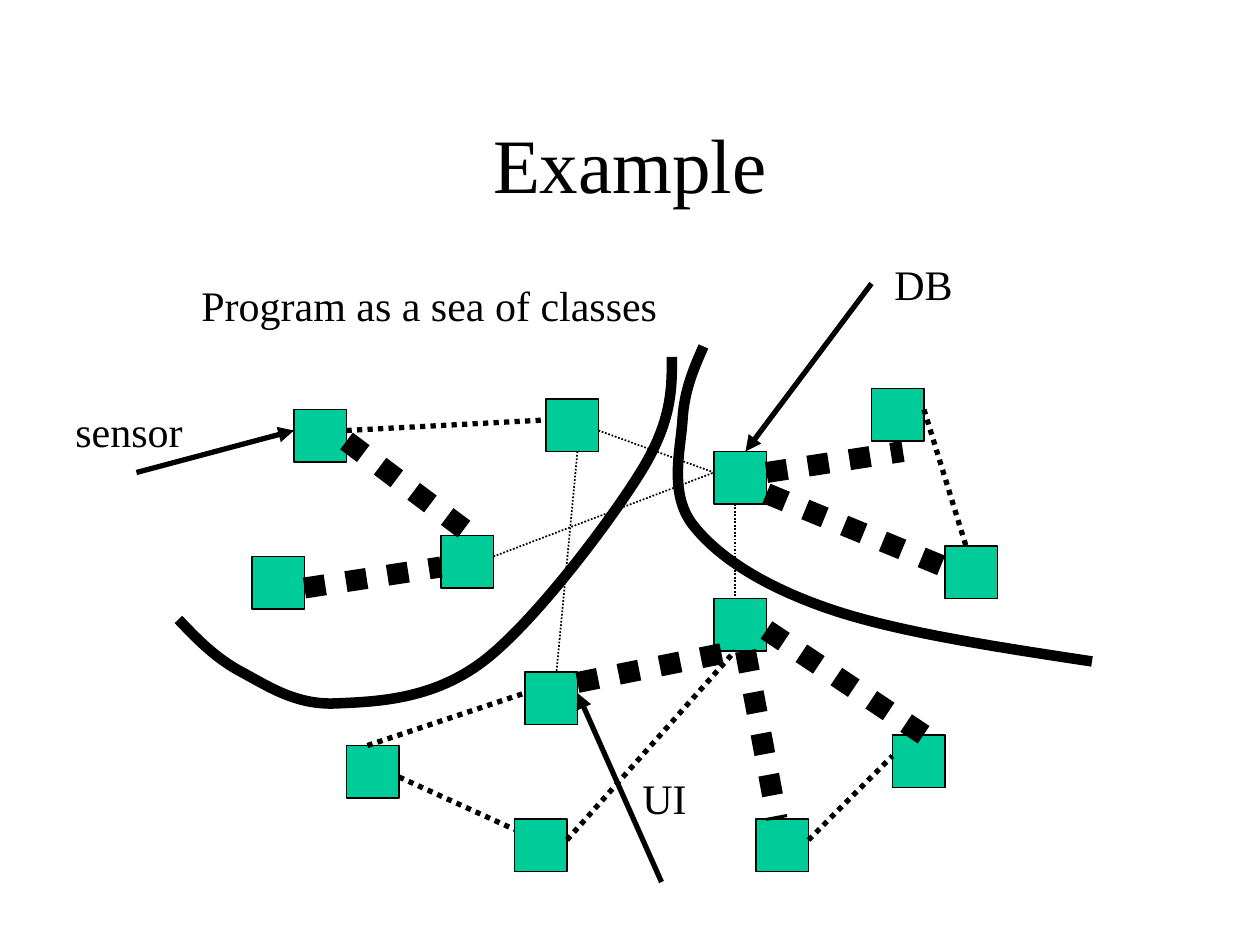
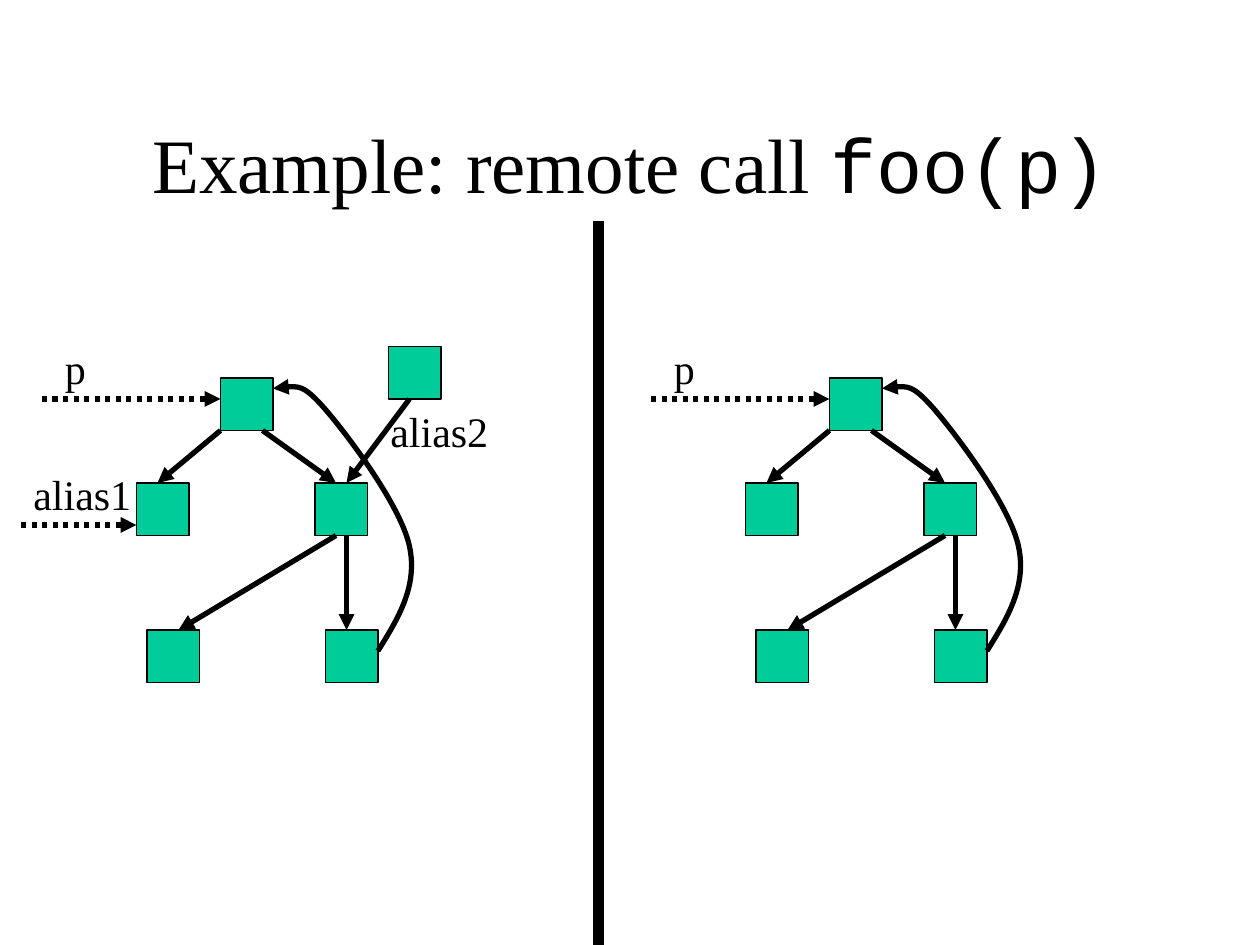
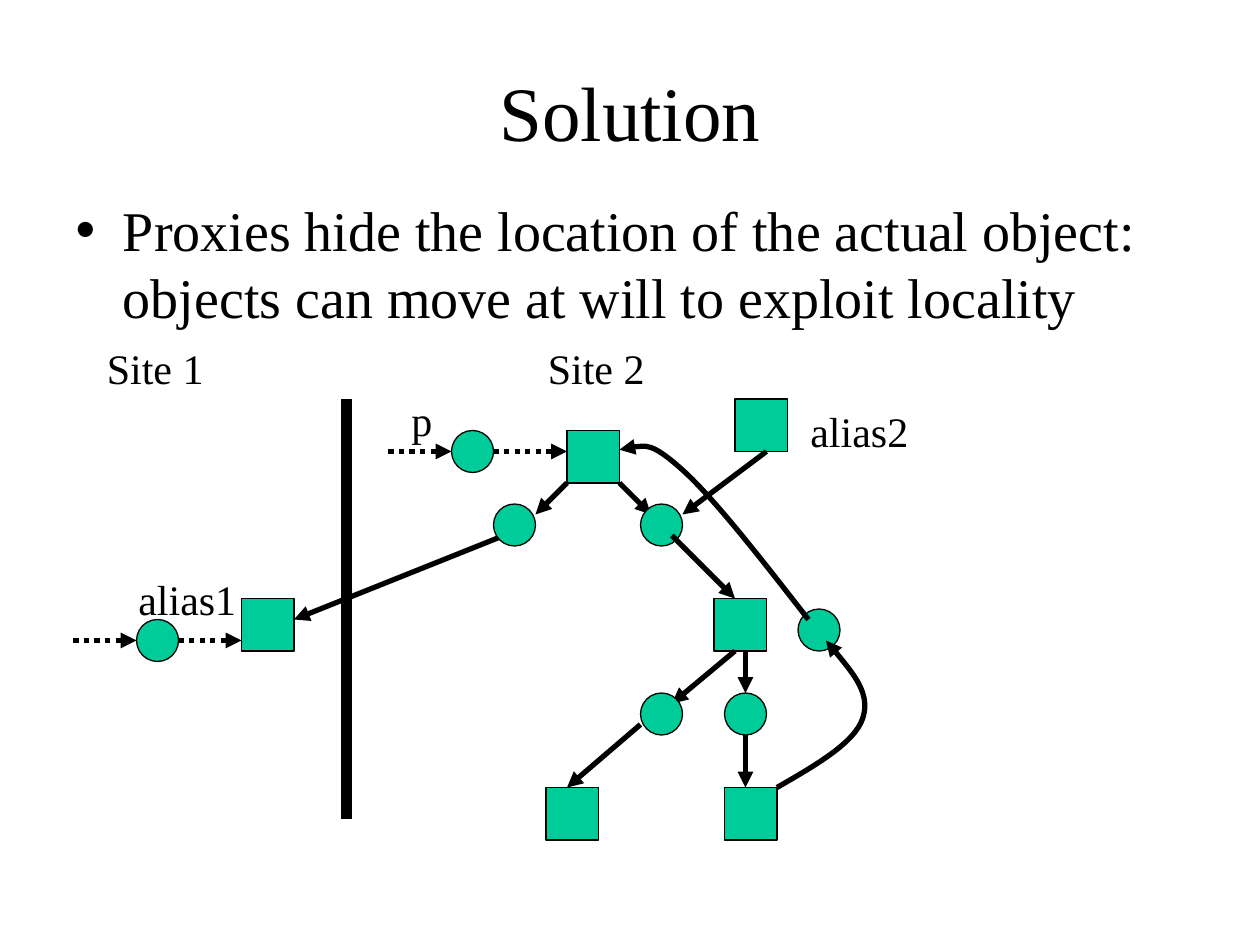
from pptx import Presentation
from pptx import util as u
from pptx.dml.color import RGBColor
from pptx.enum import dml, shapes, text
from pptx.oxml import ns
from lxml import etree

INK = {"black": "000000", "green": "00CC99", "white": "FFFFFF"}
SERIF, MONO = "Times New Roman", "Courier New"
NODE, PROXY = 30, 24
RECT, OVAL = shapes.MSO_SHAPE.RECTANGLE, shapes.MSO_SHAPE.OVAL


def ink(name):
    return RGBColor.from_string(INK[name])


def style(run, size, face=SERIF):
    run.font.size, run.font.name = u.Pt(size), face
    run.font.color.rgb = ink("black")


def place(shape, *box):
    shape.left, shape.top, shape.width, shape.height = map(u.Pt, box)


def stroke(shape, width, dot=False, tip=False):
    line = shape.line
    line.color.rgb = ink("black")
    line.width = u.Pt(width)
    if dot:
        line.dash_style = dml.MSO_LINE.ROUND_DOT
    if tip:
        end = etree.SubElement(shape._element.spPr.find(ns.qn("a:ln")), ns.qn("a:tailEnd"))
        end.set("type", "triangle")


def bend(knots):
    """Return Bezier points for a smooth curve through the knots."""
    trio = zip(knots, knots[1:], knots[2:])
    pull = [((c[0] - a[0]) / 6, (c[1] - a[1]) / 6) for a, b, c in trio]
    inner = []
    for (x, y), (dx, dy) in zip(knots[1:-1], pull):
        inner += [(x - dx, y - dy), (x, y), (x + dx, y + dy)]

    def mid(a, b):
        return (a[0] + b[0]) / 2, (a[1] + b[1]) / 2

    return [mid(knots[0], inner[0]), *inner, mid(inner[-1], knots[-1]), knots[-1]]


class Pane:
    """A region of a slide; its items are placed from its left top corner."""

    def __init__(self, slide, left=0, top=0):
        self.items, self.left, self.top = slide.shapes, left, top

    def at(self, x, y):
        return u.Pt(self.left + x), u.Pt(self.top + y)

    def nodes(self, spots, kind=RECT, size=NODE):
        for spot in spots:
            node = self.items.add_shape(kind, *self.at(*spot), u.Pt(size), u.Pt(size))
            node.shadow.inherit = False
            node.fill.solid()
            node.fill.fore_color.rgb = ink("green")
            stroke(node, 0.75)

    def wires(self, ends, width=3, dot=False, tip=True):
        for x1, y1, x2, y2 in ends:
            wire = self.items.add_connector(
                shapes.MSO_CONNECTOR.STRAIGHT, *self.at(x1, y1), *self.at(x2, y2))
            stroke(wire, width, dot, tip)
            etree.SubElement(wire._element.spPr, ns.qn("a:effectLst"))

    def curve(self, knots, width=3, tip=True):
        pen = self.items.build_freeform(*self.at(*knots[0]))
        pen.add_line_segments([self.at(*spot) for spot in bend(knots)], close=False)
        arc = pen.convert_to_shape()
        steps = list(arc._element.iter(ns.qn("a:lnTo")))
        for i in range(0, len(steps), 3):
            cubic = etree.Element(ns.qn("a:cubicBezTo"))
            steps[i].addprevious(cubic)
            for step in steps[i:i + 3]:
                cubic.append(step[0])
                step.getparent().remove(step)
        arc.shadow.inherit = False
        arc.fill.background()
        stroke(arc, width, tip=tip)

    def labels(self, notes):
        for words, x, y, width in notes:
            label = self.items.add_textbox(*self.at(x, y), u.Pt(width), u.Pt(36))
            frame = label.text_frame
            frame.word_wrap = True
            frame.auto_size = text.MSO_AUTO_SIZE.SHAPE_TO_FIT_TEXT
            para = frame.paragraphs[0]
            para.text = words
            para.space_before = u.Pt(15)
            style(para.runs[0], 24)


def start(deck, layout, title, top, code=""):
    """Add a slide with its title; code is set in the mono face."""
    slide = deck.slides.add_slide(deck.slide_layouts[layout])
    slide.background.fill.solid()
    slide.background.fill.fore_color.rgb = ink("white")
    head = slide.shapes.title
    place(head, 54, top, 612, 90)
    frame = head.text_frame
    frame.vertical_anchor = text.MSO_ANCHOR.MIDDLE
    frame.auto_size = text.MSO_AUTO_SIZE.NONE
    para = frame.paragraphs[0]
    para.text = title
    para.alignment = text.PP_ALIGN.CENTER
    style(para.runs[0], 44)
    if code:
        run = para.add_run()
        run.text = code
        style(run, 44, MONO)
    return slide


def sea(pane):
    """Classes, joined by links of three strengths and cut into three regions."""
    pane.nodes([(168, 234), (144, 318), (252, 306), (312, 228), (300, 384),
                (198, 426), (408, 342), (408, 258), (432, 468), (540, 312),
                (294, 468), (510, 420), (498, 222)])
    pane.wires([(78, 270, 168, 246), (498, 162, 426, 258), (378, 504, 330, 396)])
    pane.labels([("Program as a sea of classes", 108, 156, 288), ("sensor", 36, 228, 78),
                 ("DB", 504, 144, 54), ("UI", 360, 438, 54)])
    links = {
        12: [(198, 252, 270, 306), (174, 336, 252, 324), (438, 270, 516, 258),
             (438, 282, 540, 324), (330, 390, 420, 372), (438, 360, 528, 420),
             (426, 372, 444, 468)],
        3: [(198, 246, 312, 240), (210, 426, 300, 396), (228, 444, 294, 474),
            (324, 480, 420, 372), (528, 234, 552, 312), (462, 480, 510, 432)],
        1: [(330, 258, 318, 384), (282, 318, 408, 270), (342, 246, 408, 270),
            (420, 288, 420, 342)],
    }
    for width, ends in links.items():
        pane.wires(ends, width, dot=True, tip=False)
    for cut in ([(102, 354), (138, 384), (192, 402), (276, 378), (366, 270), (384, 204)],
                [(402, 198), (390, 240), (396, 300), (474, 348), (624, 378)]):
        pane.curve(cut, 6, tip=False)


def tree(pane):
    """The objects that p reaches."""
    pane.nodes([(126, 216), (84, 360), (186, 360), (78, 276), (180, 276)])
    pane.wires([(126, 246, 90, 276), (150, 246, 192, 276),
                (198, 306, 198, 360), (192, 306, 102, 360)])
    pane.curve([(216, 372), (234, 312), (186, 234), (156, 222)])
    pane.wires([(24, 228, 126, 228)], dot=True)
    pane.labels([("p", 30, 192, 42)])


def alias(pane):
    """The two other references into the caller's tree."""
    pane.nodes([(222, 198)])
    pane.wires([(234, 228, 198, 276)])
    pane.wires([(12, 300, 78, 300)], dot=True)
    pane.labels([("alias1", 12, 264, 72), ("alias2", 216, 228, 72)])


def bullet(slide, words):
    body = slide.placeholders[1]
    place(body, 36, 108, 630, 90)
    frame = body.text_frame
    frame.auto_size = text.MSO_AUTO_SIZE.NONE
    para = frame.paragraphs[0]
    para.text = words
    para.space_before = u.Pt(8)
    style(para.runs[0], 32)
    props = para._p.get_or_add_pPr()
    props.set("marL", str(u.Pt(27)))
    props.set("indent", str(u.Pt(-27)))
    etree.SubElement(props, ns.qn("a:buChar")).set("char", "•")


def sites(pane):
    """Objects on two sites, reached through round proxies."""
    pane.nodes([(324, 246), (312, 450), (414, 450), (138, 342), (408, 342), (420, 228)])
    pane.wires([(288, 306, 168, 354), (354, 276, 372, 294),
                (426, 420, 426, 450), (420, 372, 384, 402)])
    pane.labels([("p", 228, 222, 42), ("alias1", 72, 324, 72), ("alias2", 456, 228, 72),
                 ("Site 1", 54, 192, 72), ("Site 2", 306, 192, 72)])
    pane.nodes([(78, 354), (258, 246), (282, 288), (366, 288),
                (414, 396), (366, 396), (456, 348)], OVAL, PROXY)
    pane.wires([(222, 258, 258, 258), (282, 258, 324, 258),
                (42, 366, 78, 366), (102, 366, 138, 366)], dot=True)
    pane.wires([(366, 414, 324, 450), (426, 372, 426, 396), (324, 276, 306, 294),
                (384, 306, 420, 342), (438, 258, 390, 294)])
    pane.curve([(444, 450), (493, 410.5), (472, 366)])
    pane.curve([(462, 354), (390, 268.5), (354, 257)])
    pane.wires([(198, 228, 198, 468)], 6, tip=False)


def main():
    deck = Presentation()
    deck.slide_width, deck.slide_height = u.Pt(720), u.Pt(540)

    sea(Pane(start(deck, 5, "Example", 48)))

    call = start(deck, 5, "Example: remote call ", 48, "foo(p)")
    caller = Pane(call)
    tree(caller)
    caller.wires([(342, 126, 342, 540)], 6, tip=False)
    tree(Pane(call, 348))
    alias(caller)

    fix = start(deck, 1, "Solution", 18)
    bullet(fix, "Proxies hide the location of the actual object: "
                "objects can move at will to exploit locality")
    sites(Pane(fix))

    deck.save("out.pptx")


if __name__ == "__main__":
    main()
